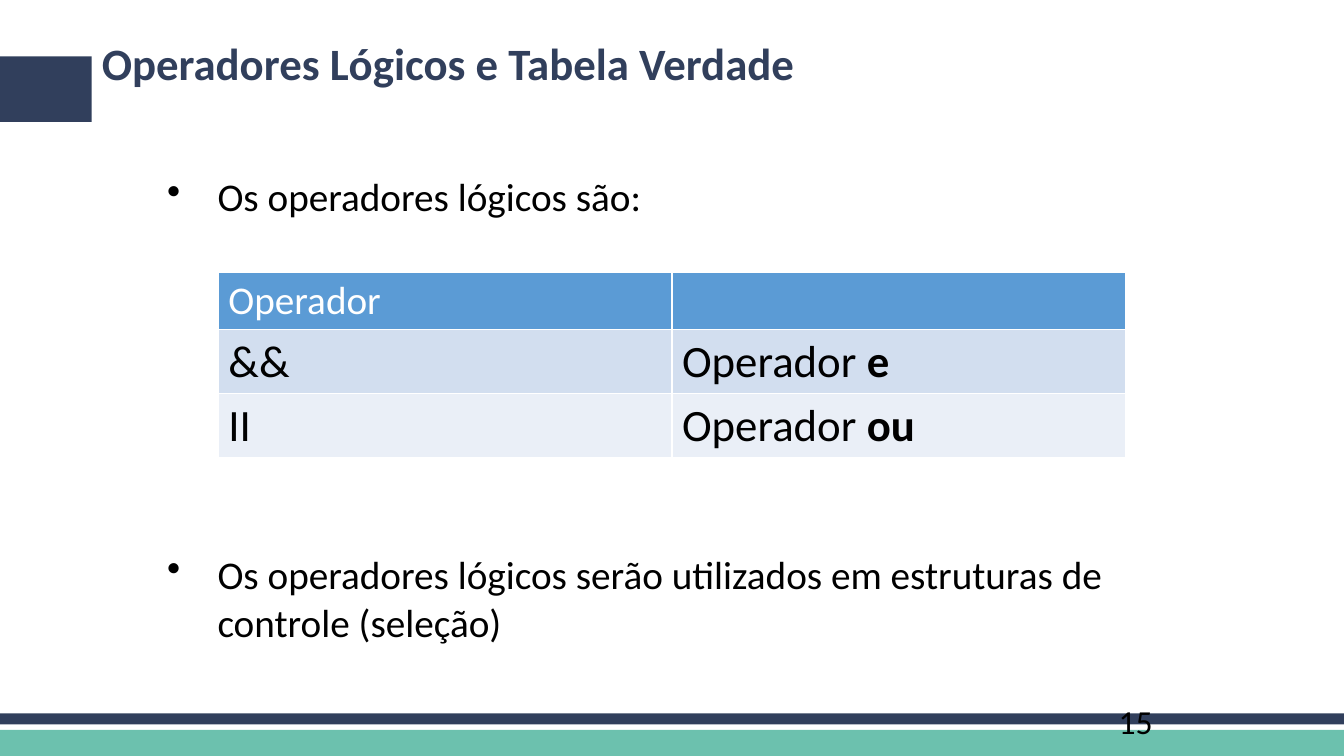
"""Builds the slide on logical operators and truth tables."""
from lxml import etree
from pptx import Presentation
from pptx.dml.color import RGBColor
from pptx.enum.shapes import MSO_SHAPE
from pptx.enum.text import MSO_ANCHOR
from pptx.oxml.ns import qn
from pptx.util import Pt

RECT = MSO_SHAPE.RECTANGLE
TOP, MIDDLE = MSO_ANCHOR.TOP, MSO_ANCHOR.MIDDLE

THEME = {
    "font": "Calibri",
    "navy": "313F5C", "teal": "6CC1AE", "black": "000000", "white": "FFFFFF",
    "head": "5B9BD5", "bands": ["D2DEEF", "EAEFF7"],
    "title": 32, "body": 28, "cell": 32, "page": 24,
}
TITLE = "Operadores Lógicos e Tabela Verdade"
POINTS = [
    ("Os operadores lógicos são:", 10.5),
    ("Os operadores lógicos serão utilizados em estruturas de controle (seleção)", 235),
]
ROWS = [
    [("Operador", ""), ("", "")],
    [("&&", ""), ("Operador ", "e")],
    [("II", ""), ("Operador ", "ou")],
]
PAGE = "15"

WIDE, HIGH = 960, 540
BARS = [
    ("teal", 0, 521.3, WIDE, 18.7),
    ("navy", 0, 509.5, WIDE, 8),
    ("navy", 0, 40.3, 65.5, 46.8),
]
TITLE_BOX = (65.5, 26, 828, 75.6)
BODY_BOX = (112.3, 118.8, 782, 355)
PAGE_BOX = (792, 500.4, 168, 28.8)
GRID_BOX = (156, 194.6, 648, 132)
HEIGHTS = [41, 45.5, 45.5]
INDENT = 36


def place(box):
    return [Pt(n) for n in box]


def ink(para, size, color, bold=False):
    font = para.font
    font.name, font.size, font.bold = THEME["font"], Pt(size), bold
    font.color.rgb = RGBColor.from_string(color)


def paint(fill, color):
    fill.solid()
    fill.fore_color.rgb = RGBColor.from_string(color)


def add_text(slide, box, anchor):
    frame = slide.shapes.add_textbox(*place(box)).text_frame
    frame.word_wrap = True
    frame.vertical_anchor = anchor
    return frame


def add_bars(slide):
    for color, *box in BARS:
        bar = slide.shapes.add_shape(RECT, *place(box))
        bar.shadow.inherit = False
        paint(bar.fill, THEME[color])
        bar.line.fill.background()


def add_title(slide):
    title = slide.shapes.title
    title.left, title.top, title.width, title.height = place(TITLE_BOX)
    frame = title.text_frame
    frame.text = TITLE
    frame.word_wrap = True
    frame.vertical_anchor = TOP
    para = frame.paragraphs[0]
    para.alignment = 1
    para.line_spacing = 0.9
    ink(para, THEME["title"], THEME["navy"], True)


def add_points(slide):
    frame = add_text(slide, BODY_BOX, TOP)
    frame.text = "\n".join(text for text, _ in POINTS)
    for para, (_, gap) in zip(frame.paragraphs, POINTS):
        para.line_spacing = 1.03
        para.space_before = Pt(gap)
        ink(para, THEME["body"], THEME["black"])
        props = para._p.get_or_add_pPr()
        props.set("marL", str(Pt(INDENT)))
        props.set("indent", str(-Pt(INDENT)))
        mark = etree.Element(qn("a:buChar"), char="•")
        props.find(qn("a:defRPr")).addprevious(mark)


def add_grid(slide):
    grid = slide.shapes.add_table(len(ROWS), len(ROWS[0]), *place(GRID_BOX)).table
    for r, (row, high) in enumerate(zip(ROWS, HEIGHTS)):
        grid.rows[r].height = Pt(high)
        back = THEME["bands"][r - 1] if r else THEME["head"]
        size, color = ("cell", "black") if r else ("body", "white")
        for c, (plain, strong) in enumerate(row):
            cell = grid.cell(r, c)
            paint(cell.fill, back)
            para = cell.text_frame.paragraphs[0]
            ink(para, THEME[size], THEME[color])
            if plain:
                para.add_run().text = plain
            if strong:
                run = para.add_run()
                run.text = strong
                run.font.bold = True


def add_page(slide):
    frame = add_text(slide, PAGE_BOX, MIDDLE)
    frame.text = PAGE
    ink(frame.paragraphs[0], THEME["page"], THEME["black"])


def main():
    deck = Presentation()
    deck.slide_width, deck.slide_height = Pt(WIDE), Pt(HIGH)
    slide = deck.slides.add_slide(deck.slide_layouts[5])
    for add in (add_bars, add_points, add_title, add_page, add_grid):
        add(slide)
    deck.save("out.pptx")


if __name__ == "__main__":
    main()
